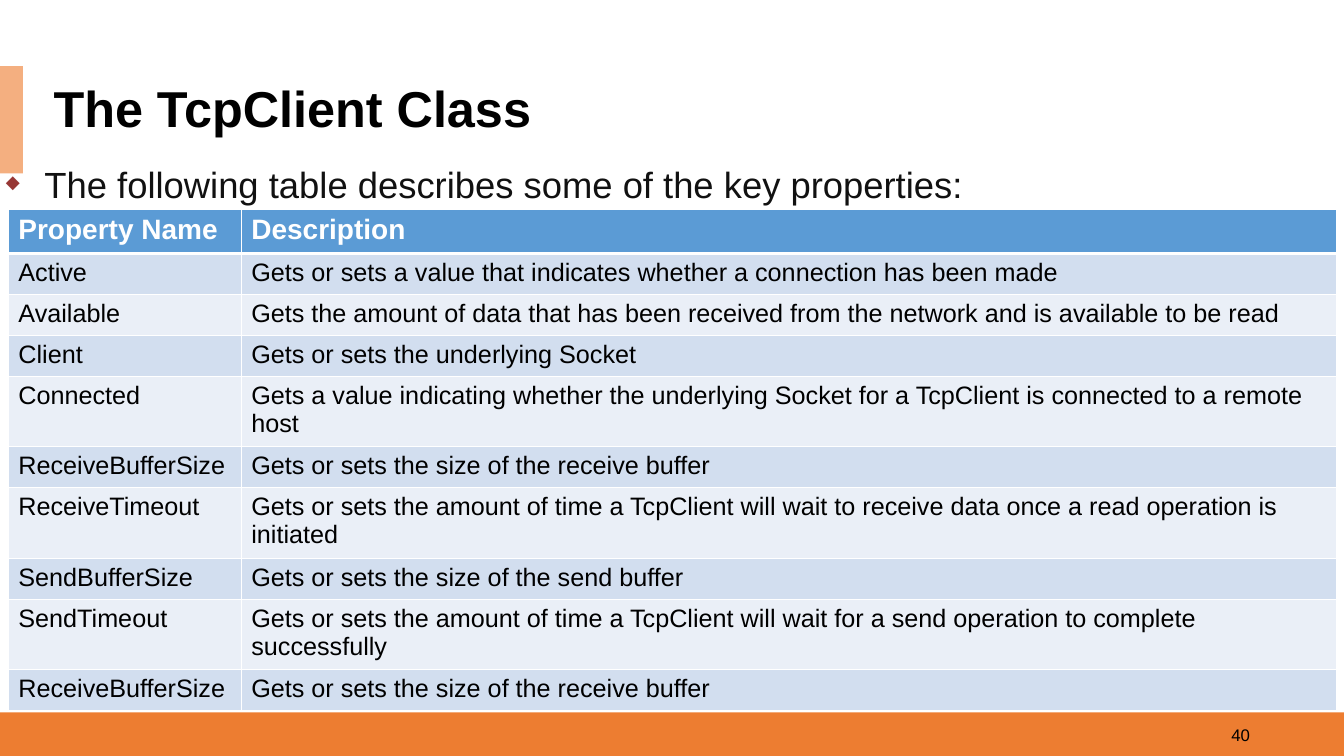
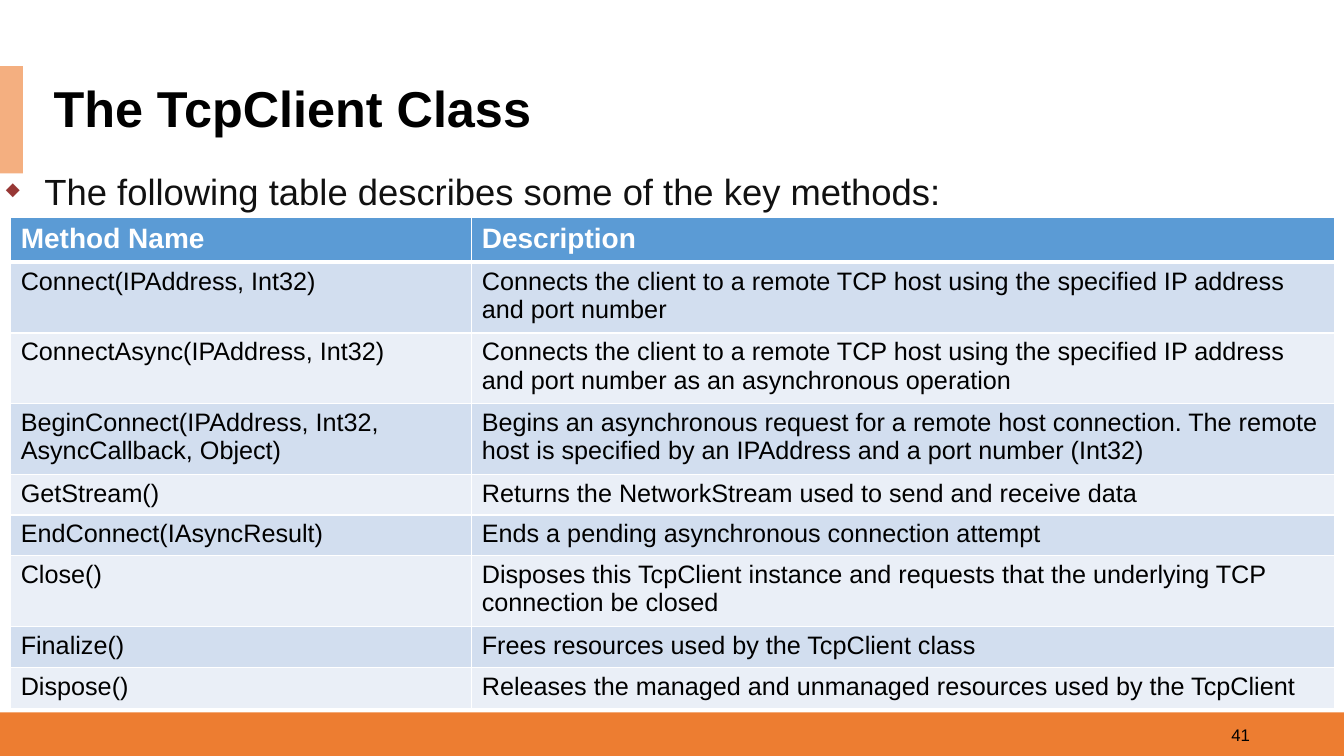
"""Builds two slides that tabulate the members of the TcpClient class."""
from math import ceil

from lxml import etree
from pptx import Presentation
from pptx.dml.color import RGBColor
from pptx.enum.shapes import MSO_SHAPE
from pptx.enum.text import MSO_ANCHOR, PP_ALIGN
from pptx.oxml.ns import qn
from pptx.util import Cm, Pt

RECTANGLE = MSO_SHAPE.RECTANGLE
TOP, MIDDLE = MSO_ANCHOR.TOP, MSO_ANCHOR.MIDDLE
LEFT, RIGHT, JUSTIFY = PP_ALIGN.LEFT, PP_ALIGN.RIGHT, PP_ALIGN.JUSTIFY

FONT = "Arial"
COLORS = {
    "footer": "ED7D31",
    "accent": "F4AF80",
    "title": "000000",
    "intro": "111111",
    "bullet": "973735",
    "header": "5B9BD5",
    "odd": "D2DEEF",
    "even": "EAEFF7",
    "white": "FFFFFF",
}
WIDTH, HEIGHT = 33.87, 19.05
FIRST_NUMBER = 40
HEADER_HEIGHT, ROW_HEIGHT, LINE_HEIGHT = 1.12, 1.03, 0.73
CELL_PADDING, CHARS_PER_CM = 0.5, 3.45

TITLE = "The TcpClient Class"
PAGES = [
    {
        "intro": "The following table describes some of the key properties:",
        "intro_top": 3.96,
        "table_at": (0.21, 5.27),
        "columns": (5.87, 27.6),
        "rows": [
            ("Property Name", "Description"),
            ("Active", "Gets or sets a value that indicates whether a connection has been made"),
            ("Available", "Gets the amount of data that has been received from the network "
                          "and is available to be read"),
            ("Client", "Gets or sets the underlying Socket"),
            ("Connected", "Gets a value indicating whether the underlying Socket for "
                          "a TcpClient is connected to a remote host"),
            ("ReceiveBufferSize", "Gets or sets the size of the receive buffer"),
            ("ReceiveTimeout", "Gets or sets the amount of time a TcpClient will wait "
                               "to receive data once a read operation is initiated"),
            ("SendBufferSize", "Gets or sets the size of the send buffer"),
            ("SendTimeout", "Gets or sets the amount of time a TcpClient will wait "
                            "for a send operation to complete successfully"),
            ("ReceiveBufferSize", "Gets or sets the size of the receive buffer"),
        ],
    },
    {
        "intro": "The following table describes some of the key methods:",
        "intro_top": 4.14,
        "table_at": (0.27, 5.49),
        "columns": (11.62, 21.75),
        "rows": [
            ("Method Name", "Description"),
            ("Connect(IPAddress, Int32)",
             "Connects the client to a remote TCP host using the specified IP address "
             "and port number"),
            ("ConnectAsync(IPAddress, Int32)",
             "Connects the client to a remote TCP host using the specified IP address "
             "and port number as an asynchronous operation"),
            ("BeginConnect(IPAddress, Int32, AsyncCallback, Object)",
             "Begins an asynchronous request for a remote host connection. The remote "
             "host is specified by an IPAddress and a port number (Int32)"),
            ("GetStream()", "Returns the NetworkStream used to send and receive data"),
            ("EndConnect(IAsyncResult)", "Ends a pending asynchronous connection attempt"),
            ("Close()", "Disposes this TcpClient instance and requests that the "
                        "underlying TCP connection be closed"),
            ("Finalize()", "Frees resources used by the TcpClient class"),
            ("Dispose()", "Releases the managed and unmanaged resources used by "
                          "the TcpClient"),
        ],
    },
]


def rgb(name):
    """Return the named colour."""
    return RGBColor.from_string(COLORS[name])


def add_element(parent, tag, **attributes):
    """Append a drawing element to its parent."""
    element = etree.SubElement(parent, qn(tag))
    for name, value in attributes.items():
        element.set(name, str(value))
    return element


def add_color(parent, name):
    """Append a named colour value to its parent."""
    add_element(parent, "a:srgbClr", val=COLORS[name])


def write_text(frame, text, size, color, bold=False, align=LEFT):
    """Write one formatted paragraph and return it."""
    paragraph = frame.paragraphs[0]
    paragraph.alignment = align
    span = paragraph.add_run()
    span.text = text
    span.font.name = FONT
    span.font.size = Pt(size)
    span.font.bold = bold
    span.font.color.rgb = rgb(color)
    return paragraph


def add_text(page, area, text, anchor=TOP, **style):
    """Add a wrapping text box and return its paragraph."""
    frame = page.shapes.add_textbox(*map(Cm, area)).text_frame
    frame.word_wrap = True
    frame.vertical_anchor = anchor
    return write_text(frame, text, **style)


def add_band(page, area, color):
    """Add a plain filled rectangle."""
    band = page.shapes.add_shape(RECTANGLE, *map(Cm, area))
    band.shadow.inherit = False
    band.fill.solid()
    band.fill.fore_color.rgb = rgb(color)
    band.line.fill.background()


def add_bullet(paragraph):
    """Give a paragraph a hanging diamond bullet."""
    properties = paragraph._p.get_or_add_pPr()
    properties.set("marL", str(Cm(0.97)))
    properties.set("indent", str(-Cm(0.97)))
    add_color(add_element(properties, "a:buClr"), "bullet")
    add_element(properties, "a:buSzPct", val=50000)
    add_element(properties, "a:buChar", char="◆")
    tabs = add_element(properties, "a:tabLst")
    add_element(tabs, "a:tab", pos=Cm(0.66), algn="l")


def add_borders(cell, top, bottom):
    """Draw white cell borders with the given top and bottom widths."""
    properties = cell._tc.get_or_add_tcPr()
    for tag, width in (("a:lnL", 1), ("a:lnR", 1), ("a:lnT", top), ("a:lnB", bottom)):
        line = add_element(properties, tag, w=Pt(width))
        add_color(add_element(line, "a:solidFill"), "white")


def row_height(row, columns):
    """Estimate the height of a body row from its longest wrapped cell."""
    lines = max(ceil(len(text) / ((width - CELL_PADDING) * CHARS_PER_CM))
                for text, width in zip(row, columns))
    return ROW_HEIGHT + (lines - 1) * LINE_HEIGHT


def add_member_table(page, rows, columns, position):
    """Add the banded table of class members."""
    heights = [HEADER_HEIGHT] + [row_height(row, columns) for row in rows[1:]]
    area = (*position, sum(columns), sum(heights))
    table = page.shapes.add_table(len(rows), len(columns), *map(Cm, area)).table
    for column, width in zip(table.columns, columns):
        column.width = Cm(width)
    for index, (row, height) in enumerate(zip(rows, heights)):
        table.rows[index].height = Cm(height)
        header = index == 0
        fill = "header" if header else ("even", "odd")[index % 2]
        for position_in_row, text in enumerate(row):
            cell = table.cell(index, position_in_row)
            add_borders(cell, top=3 if index == 1 else 1, bottom=3 if header else 1)
            cell.fill.solid()
            cell.fill.fore_color.rgb = rgb(fill)
            write_text(cell.text_frame, text, size=20 if header else 18,
                       color="white" if header else "title", bold=header)


def add_page(deck, content, number):
    """Add a slide with the shared frame, an intro line and a table."""
    page = deck.slides.add_slide(deck.slide_layouts[6])
    add_band(page, (0, 17.95, WIDTH, 1.1), "footer")
    add_band(page, (0, 1.67, 0.58, 2.7), "accent")
    add_text(page, (24.13, 18.01, 7.62, 1.02), str(number), anchor=MIDDLE,
             size=12, color="title", align=RIGHT)
    title = add_text(page, (1.1, 2, 32.45, 1.6), TITLE, anchor=MIDDLE,
                     size=36, color="title", bold=True)
    title.line_spacing = 0.9
    intro = add_text(page, (-0.1, content["intro_top"], 33.78, 1.37), content["intro"],
                     size=26, color="intro", align=JUSTIFY)
    add_bullet(intro)
    add_member_table(page, content["rows"], content["columns"], content["table_at"])


def main():
    """Build and save the deck."""
    deck = Presentation()
    deck.slide_width, deck.slide_height = Cm(WIDTH), Cm(HEIGHT)
    for number, content in enumerate(PAGES, FIRST_NUMBER):
        add_page(deck, content, number)
    deck.save("out.pptx")


if __name__ == "__main__":
    main()
